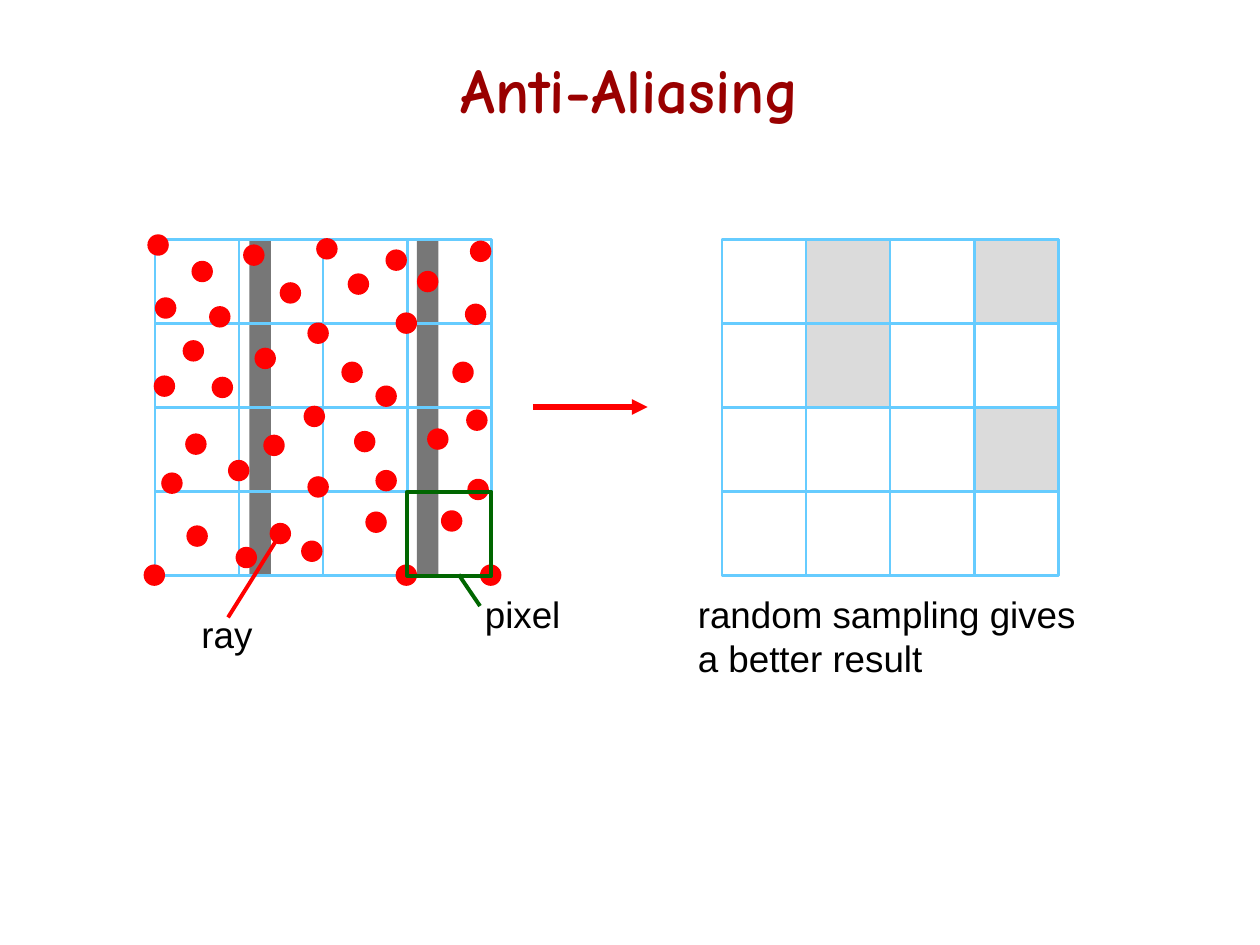
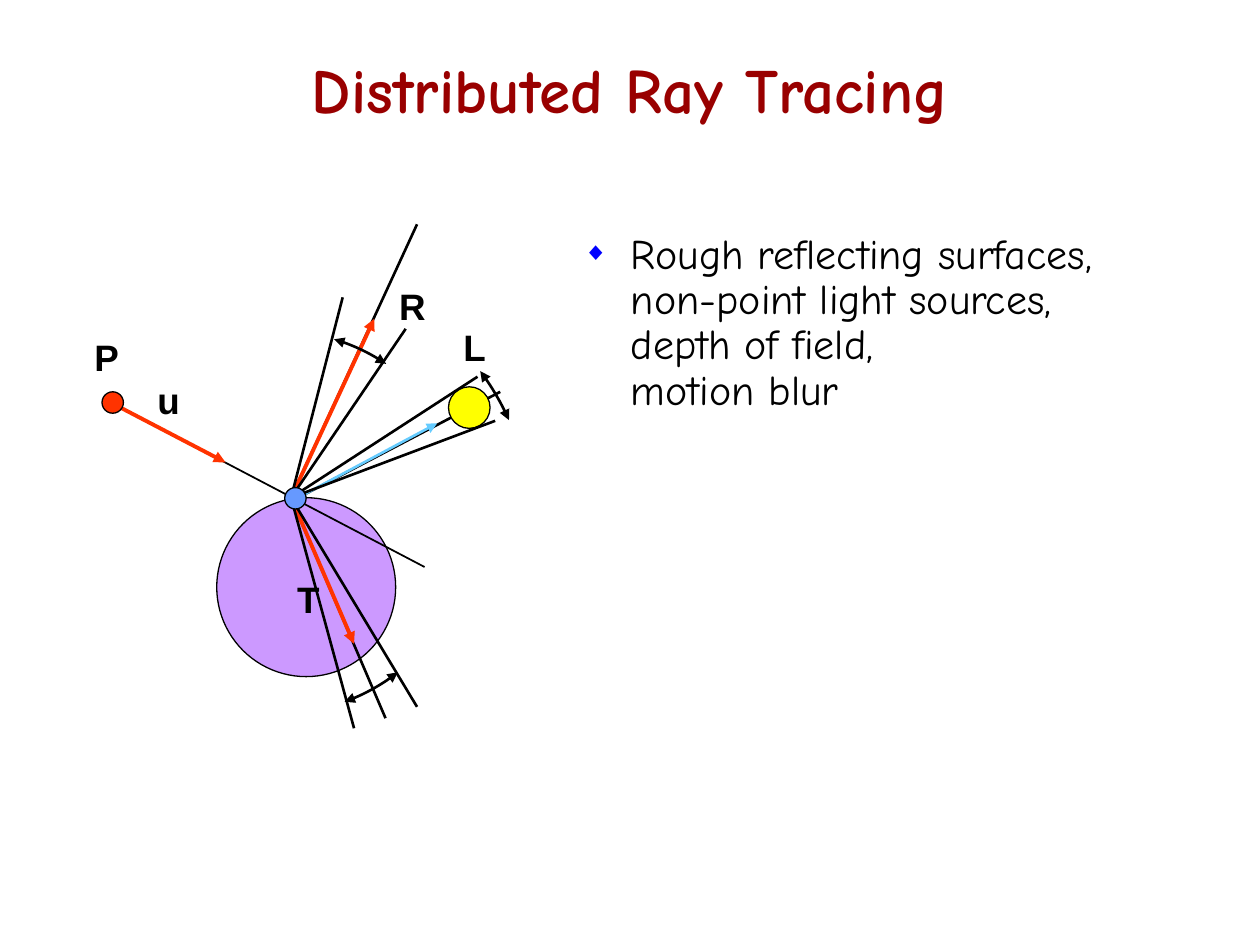
from dataclasses import dataclass
from math import cos, radians, sin

from lxml.etree import SubElement
from pptx import Presentation
from pptx.dml.color import RGBColor
from pptx.enum.shapes import MSO_CONNECTOR as Connector, MSO_SHAPE as Preset
from pptx.enum.text import MSO_ANCHOR as Anchor, MSO_AUTO_SIZE as AutoSize, PP_ALIGN as Align
from pptx.oxml.ns import qn
from pptx.shapes.autoshape import Shape
from pptx.slide import Slide
from pptx.text.text import TextFrame
from pptx.util import Inches, Pt

Point = tuple[float, float]


@dataclass(frozen=True)
class Theme:
    title: str = "990000"
    text: str = "000000"
    bullet: str = "0000FF"
    grid: str = "66CCFF"
    stripe: str = "777777"
    shaded: str = "DBDBDB"
    sample: str = "FF0000"
    pixel: str = "006600"
    ray: str = "FF3300"
    sphere: str = "CC99FF"
    sun: str = "FFFF00"
    hit: str = "6699FF"
    title_font: str = "Comic Neue"
    label_font: str = "Arial"
    title_size: float = 36
    body_size: float = 24
    label_size: float = 21
    hairline: float = 0.75
    thin: float = 1.5
    thick: float = 2.25


THEME = Theme()
DOT = 0.17
SIDE = 2.67
CELLS = 4
CELL = SIDE / CELLS
GRID_TOP = 1.9
SCENE_LEFT, RESULT_LEFT = 1.23, 5.73
HIT = (2.31, 3.95)
ARC_CENTER = (2.22, 4.14)

SAMPLES: list[Point] = [
    (1.17, 1.86), (1.93, 1.94), (2.51, 1.89), (3.06, 1.98), (3.73, 1.91),
    (1.52, 2.07), (2.22, 2.24), (2.76, 2.17), (3.31, 2.15),
    (1.23, 2.36), (1.66, 2.43), (2.44, 2.56), (3.14, 2.48), (3.69, 2.41),
    (1.45, 2.7), (2.02, 2.76), (2.71, 2.87), (3.59, 2.87),
    (1.22, 2.98), (1.68, 2.99), (2.41, 3.22), (2.98, 3.06), (3.7, 3.25),
    (1.47, 3.44), (2.09, 3.45), (2.81, 3.42), (3.39, 3.4),
    (1.28, 3.75), (1.81, 3.65), (2.44, 3.78), (2.98, 3.73), (3.71, 3.8),
    (1.48, 4.17), (2.14, 4.15), (2.9, 4.06), (3.5, 4.05),
    (1.14, 4.48), (1.87, 4.34), (2.39, 4.29), (3.14, 4.48), (3.81, 4.48),
]


@dataclass(frozen=True)
class Label:
    text: str
    left: float
    top: float
    width: float
    bold: bool = False


@dataclass(frozen=True)
class Fan:
    """A bundle of rays: an axis with a coloured ray, two edges and a sweep arc."""
    axis_end: Point
    ray_end: Point
    edge_ends: tuple[Point, Point]
    radius: float
    sweep: tuple[float, float]
    origin: Point = HIT
    color: str = THEME.ray
    width: float = THEME.thick


FANS = [
    Fan((3.31, 1.78), (2.97, 2.53), ((3.22, 2.61), (2.72, 2.36)), 1.51, (73.4, 56)),
    Fan((3.06, 5.7), (2.81, 5.11), ((2.81, 5.78), (3.31, 5.61)), 1.52, (-51.9, -70.2)),
    Fan((3.97, 3.11), (3.47, 3.36), ((3.93, 3.34), (3.79, 2.99)), 1.99, (36.9, 23.9),
        origin=(2.31, 3.98), color=THEME.grid, width=THEME.thin),
]
RAY_LABELS = [
    Label("R", 3.07, 2.2, 0.41, bold=True),
    Label("P", 0.65, 2.61, 0.39, bold=True),
    Label("u", 1.15, 2.95, 0.38, bold=True),
    Label("T", 2.26, 4.53, 0.38, bold=True),
    Label("L", 3.58, 2.53, 0.38, bold=True),
]
SAMPLING_LABELS = [
    Label("pixel", 3.75, 4.65, 0.8),
    Label("ray", 1.5, 4.81, 0.65),
]


def rgb(value: str) -> RGBColor:
    return RGBColor.from_string(value)


def write_text(frame: TextFrame, *paragraphs: str, font: str = THEME.label_font,
               size: float = THEME.label_size, color: str = THEME.text, bold: bool = False,
               align: Align = Align.LEFT, line_spacing: float = 1.0, bullet: str = "") -> None:
    for index, content in enumerate(paragraphs):
        paragraph = frame.add_paragraph() if index else frame.paragraphs[0]
        paragraph.text = content
        paragraph.alignment = align
        paragraph.line_spacing = line_spacing
        if bullet:
            props = paragraph._p.get_or_add_pPr()
            props.set("marL", str(Inches(0.38)))
            props.set("indent", str(-Inches(0.38)))
            SubElement(SubElement(props, qn("a:buClr")), qn("a:srgbClr"), val=THEME.bullet)
            SubElement(props, qn("a:buSzPct"), val="60000")
            SubElement(props, qn("a:buFont"), typeface=THEME.label_font)
            SubElement(props, qn("a:buChar"), char=bullet)
        for run in paragraph.runs:
            run.font.name = font
            run.font.size = Pt(size)
            run.font.bold = bold
            run.font.color.rgb = rgb(color)


def add_text_frame(slide: Slide, left: float, top: float, width: float, height: float,
                   wrap: bool = False) -> TextFrame:
    box = slide.shapes.add_textbox(Inches(left), Inches(top), Inches(width), Inches(height))
    box.text_frame.word_wrap = wrap
    box.text_frame.auto_size = AutoSize.SHAPE_TO_FIT_TEXT
    return box.text_frame


def add_label(slide: Slide, label: Label) -> None:
    frame = add_text_frame(slide, label.left, label.top, label.width, 0.45)
    write_text(frame, label.text, bold=label.bold)


def style_shape(shape: Shape, fill: str | None, line: str | None, width: float) -> None:
    shape.shadow.inherit = False
    if fill:
        shape.fill.solid()
        shape.fill.fore_color.rgb = rgb(fill)
    else:
        shape.fill.background()
    if line:
        shape.line.color.rgb = rgb(line)
        shape.line.width = Pt(width)
    else:
        shape.line.fill.background()


def add_preset(slide: Slide, preset: Preset, left: float, top: float, width: float, height: float,
               fill: str | None = None, line: str | None = None,
               line_width: float = THEME.thin) -> None:
    shape = slide.shapes.add_shape(preset, Inches(left), Inches(top), Inches(width), Inches(height))
    style_shape(shape, fill, line, line_width)


def add_ball(slide: Slide, left: float, top: float, size: float, fill: str,
             line: str | None = THEME.text) -> None:
    add_preset(slide, Preset.OVAL, left, top, size, size, fill, line, THEME.hairline)


def add_stroke(slide: Slide, start: Point, end: Point, color: str = THEME.text,
               width: float = THEME.thin, arrow: bool = False) -> None:
    stroke = slide.shapes.add_connector(Connector.STRAIGHT, *map(Inches, start + end))
    stroke.line.color.rgb = rgb(color)
    stroke.line.width = Pt(width)
    if arrow:
        SubElement(stroke.line._get_or_add_ln(), qn("a:tailEnd"), type="triangle")
    SubElement(stroke._element.spPr, qn("a:effectLst"))


def add_sweep_arc(slide: Slide, radius: float, sweep: tuple[float, float], steps: int = 16) -> None:
    """Draw a double-headed arc about ARC_CENTER between two angles in degrees."""
    first, last = sweep
    angles = [radians(first + (last - first) * step / steps) for step in range(steps + 1)]
    points = [(Inches(ARC_CENTER[0] + radius * cos(angle)),
               Inches(ARC_CENTER[1] - radius * sin(angle))) for angle in angles]
    builder = slide.shapes.build_freeform(*points[0])
    builder.add_line_segments(points[1:], close=False)
    arc = builder.convert_to_shape()
    style_shape(arc, None, THEME.text, THEME.thin)
    for end in ("a:headEnd", "a:tailEnd"):
        SubElement(arc.line._get_or_add_ln(), qn(end), type="triangle")


def add_pixel_grid(slide: Slide, left: float) -> None:
    add_preset(slide, Preset.RECTANGLE, left, GRID_TOP, SIDE, SIDE, line=THEME.grid)
    for index in range(1, CELLS):
        offset = index * CELL
        add_stroke(slide, (left, GRID_TOP + offset), (left + SIDE, GRID_TOP + offset), THEME.grid)
        add_stroke(slide, (left + offset, GRID_TOP), (left + offset, GRID_TOP + SIDE), THEME.grid)


def add_cell(slide: Slide, grid_left: float, column: int, row: int, fill: str | None,
             line: str, line_width: float) -> None:
    add_preset(slide, Preset.RECTANGLE, grid_left + column * CELL, GRID_TOP + row * CELL,
               CELL, CELL, fill, line, line_width)


def add_titled_slide(deck: Presentation, title: str) -> Slide:
    slide = deck.slides.add_slide(deck.slide_layouts[5])
    heading = slide.shapes.title
    heading.left, heading.top = Inches(0.75), Inches(0.25)
    heading.width, heading.height = Inches(8.5), Inches(0.9)
    heading.text_frame.vertical_anchor = Anchor.MIDDLE
    heading.text_frame.auto_size = AutoSize.NONE
    write_text(heading.text_frame, title, font=THEME.title_font, size=THEME.title_size,
               color=THEME.title, bold=True, align=Align.CENTER)
    return slide


def build_anti_aliasing(deck: Presentation) -> None:
    slide = add_titled_slide(deck, "Anti-Aliasing")
    for stripe_left in (1.98, 3.31):
        add_preset(slide, Preset.RECTANGLE, stripe_left, GRID_TOP, DOT, SIDE, THEME.stripe)
    add_pixel_grid(slide, SCENE_LEFT)
    for left, top in SAMPLES:
        add_ball(slide, left, top, DOT, THEME.sample, line=None)
    for label in SAMPLING_LABELS:
        add_label(slide, label)
    add_stroke(slide, (3.64, 4.56), (3.81, 4.81), THEME.pixel, THEME.thick)
    add_stroke(slide, (1.81, 4.9), (2.23, 4.23), THEME.sample, THEME.thick)
    add_cell(slide, SCENE_LEFT, 3, 3, None, THEME.pixel, THEME.thick)

    add_stroke(slide, (4.23, 3.23), (5.14, 3.23), THEME.sample, 3, arrow=True)
    add_pixel_grid(slide, RESULT_LEFT)
    for column, row in ((1, 1), (3, 0), (3, 2), (1, 0)):
        add_cell(slide, RESULT_LEFT, column, row, THEME.shaded, THEME.grid, THEME.thin)
    caption = add_text_frame(slide, 5.44, 4.65, 3.2, 0.8)
    write_text(caption, "random sampling gives", "a better result")


def build_distributed_ray_tracing(deck: Presentation) -> None:
    slide = add_titled_slide(deck, "Distributed Ray Tracing")
    effects = add_text_frame(slide, 4.53, 1.8, 4.73, 1.94, wrap=True)
    write_text(effects, "Rough reflecting surfaces, non-point light sources, depth of field,\nmotion blur",
               font=THEME.title_font, size=THEME.body_size, line_spacing=0.9, bullet="◆")

    add_ball(slide, 1.72, 3.95, 1.42, THEME.sphere)
    eye = (0.89, 3.2)
    add_stroke(slide, eye, (3.37, 4.5), width=1)
    add_stroke(slide, eye, (1.79, 3.67), THEME.ray, THEME.thick, arrow=True)
    add_ball(slide, 0.81, 3.11, DOT, THEME.ray)
    for fan in FANS:
        add_stroke(slide, fan.origin, fan.axis_end)
        add_stroke(slide, fan.origin, fan.ray_end, fan.color, fan.width, arrow=True)
    add_ball(slide, 3.56, 3.07, 0.33, THEME.sun)
    for label in RAY_LABELS:
        add_label(slide, label)
    for fan in FANS:
        for edge_end in fan.edge_ends:
            add_stroke(slide, HIT, edge_end)
        add_sweep_arc(slide, fan.radius, fan.sweep)
    add_ball(slide, 2.26, 3.87, DOT, THEME.hit)


def main() -> None:
    deck = Presentation()
    deck.slide_width, deck.slide_height = Inches(10), Inches(7.5)
    build_anti_aliasing(deck)
    build_distributed_ray_tracing(deck)
    deck.save("out.pptx")


if __name__ == "__main__":
    main()
